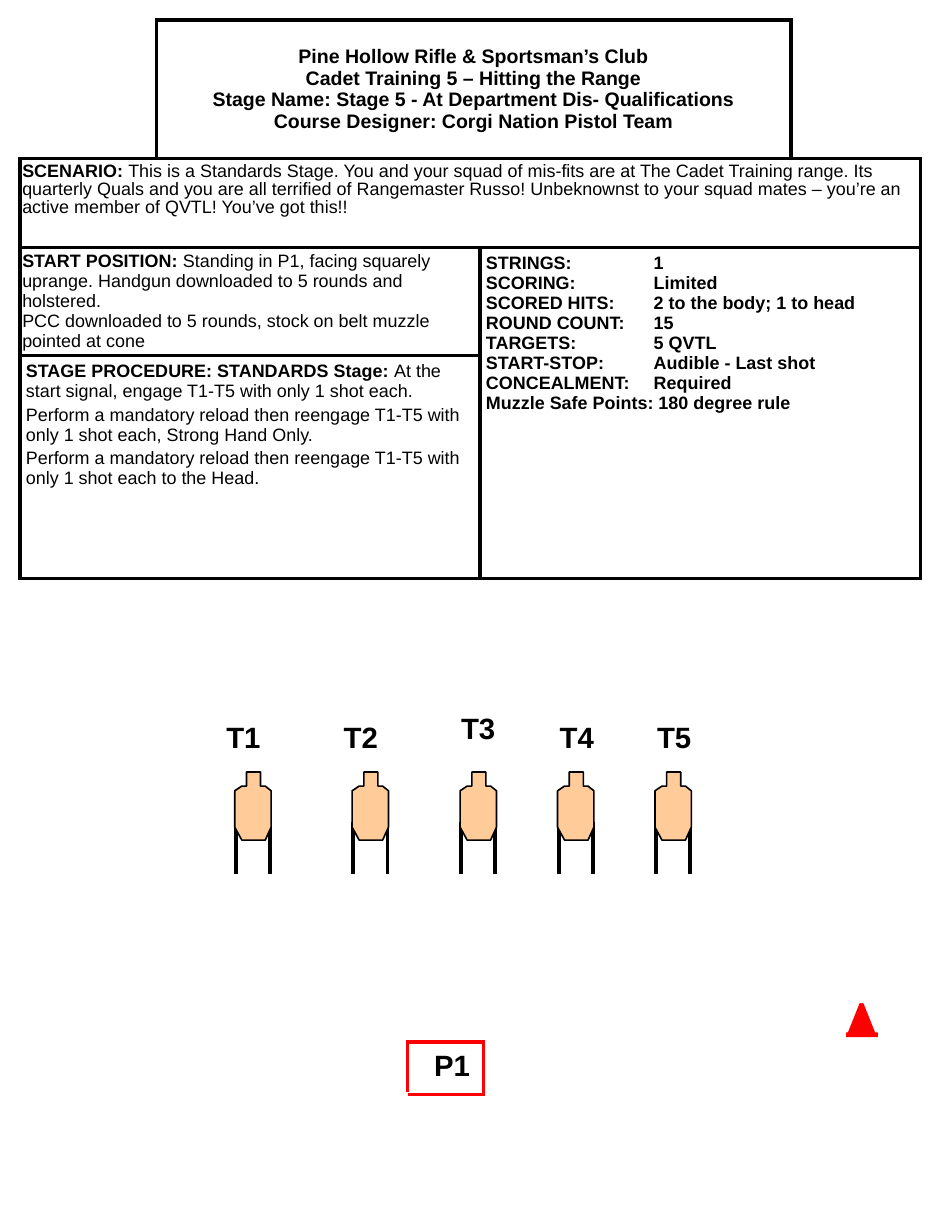
from dataclasses import dataclass

import pptx
import pptx.dml.color
import pptx.enum.shapes
import pptx.enum.text
import pptx.oxml.ns
import pptx.util
from lxml import etree
from pptx.util import Inches

qn = pptx.oxml.ns.qn
SHAPE = pptx.enum.shapes.MSO_SHAPE
ANCHOR = pptx.enum.text.MSO_ANCHOR


@dataclass(frozen=True)
class Theme:
    font: str = "Arial"
    ink: str = "000000"
    paper: str = "FFFFFF"
    red: str = "FF0000"
    target: str = "FFCC99"
    heading: float = 12
    body: float = 11
    label: float = 18
    border: float = 2.25
    fault_line: float = 2
    outline: float = 1


T = Theme()

HEADER = ["Pine Hollow Rifle & Sportsman’s Club",
          "Cadet Training 5 – Hitting the Range",
          "Stage Name: Stage 5 - At Department Dis- Qualifications",
          "Course Designer: Corgi Nation Pistol Team"]
SCENARIO = [[("SCENARIO: ", True),
             ("This is a Standards Stage. You and your squad of mis-fits are at The Cadet "
              "Training range. Its quarterly Quals and you are all terrified of Rangemaster "
              "Russo! Unbeknownst to your squad mates – you’re an active member of QVTL! "
              "You’ve got this!!", False)]]
START = [[("START POSITION: ", True),
          ("Standing in P1, facing squarely uprange. Handgun downloaded to 5 rounds and "
           "holstered.", False)],
         [("PCC downloaded to 5 rounds, stock on belt muzzle pointed at cone", False)]]
PROCEDURE = [[("STAGE PROCEDURE: STANDARDS Stage: ", True),
              ("At the start signal, engage T1-T5 with only 1 shot each.", False)],
             [("Perform a mandatory reload then reengage T1-T5 with only 1 shot each, "
               "Strong Hand Only.", False)],
             [("Perform a mandatory reload then reengage T1-T5 with only 1 shot each to "
               "the Head.", False)]]
FACTS = [("STRINGS:", "1"), ("SCORING:", "Limited"),
         ("SCORED HITS:", "2 to the body; 1 to head"), ("ROUND COUNT:", "15"),
         ("TARGETS:", "5 QVTL"), ("START-STOP:", "Audible - Last shot"),
         ("CONCEALMENT:", "Required")]
RULES = ([[(f"{name}\t{value}", True)] for name, value in FACTS]
         + [[("Muzzle Safe Points: 180 degree rule", True)]])

# Target left edge, label left edge, label top
TARGETS = [(2, 1.83, 6.08), (3, 2.83, 6.08), (3.92, 3.83, 6),
           (4.75, 4.67, 6.08), (5.58, 5.5, 6.08)]
SILHOUETTE = [(0.1, 0), (0.22, 0), (0.22, 0.12), (0.26, 0.12), (0.31, 0.16),
              (0.31, 0.47), (0.26, 0.58), (0.06, 0.58), (0, 0.47), (0, 0.16),
              (0.06, 0.12), (0.1, 0.12)]


def rgb(color):
    return pptx.dml.color.RGBColor.from_string(color)


def add_run(p, text, size, bold):
    r = p.add_run()
    r.text = text
    r.font.name, r.font.size, r.font.bold = T.font, pptx.util.Pt(size), bold
    r.font.color.rgb = rgb(T.ink)


def add_line(shapes, x1, y1, x2, y2, color, width):
    s = shapes.add_connector(pptx.enum.shapes.MSO_CONNECTOR.STRAIGHT,
                             Inches(x1), Inches(y1), Inches(x2), Inches(y2))
    s.line.color.rgb, s.line.width = rgb(color), pptx.util.Pt(width)
    etree.SubElement(s._element.spPr, qn("a:effectLst"))


def add_solid(shapes, kind, x, y, w, h, color):
    sp = shapes.add_shape(kind, Inches(x), Inches(y), Inches(w), Inches(h))
    sp.shadow.inherit = False
    sp.fill.solid()
    sp.fill.fore_color.rgb = rgb(color)
    sp.line.fill.background()


def add_label(shapes, text, x, y, w=0.58, h=0.4):
    tf = shapes.add_textbox(Inches(x), Inches(y), Inches(w), Inches(h)).text_frame
    tf.word_wrap = True
    add_run(tf.paragraphs[0], text, T.label, True)


def style_cell(cell, sides):
    """Draw the borders named in sides (of LRTB), then fill the cell."""
    tcPr = cell._tc.get_or_add_tcPr()
    for side in "LRTB":
        ln = etree.SubElement(tcPr, qn(f"a:ln{side}"), w=str(pptx.util.Pt(T.border)))
        if side in sides:
            fill = etree.SubElement(ln, qn("a:solidFill"))
            etree.SubElement(fill, qn("a:srgbClr"), val=T.ink)
        else:
            etree.SubElement(ln, qn("a:noFill"))
    cell.fill.solid()
    cell.fill.fore_color.rgb = rgb(T.paper)


def fill_cell(cell, paragraphs, inset_x, inset_y, gap=0, spacing=None, tab=None):
    cell.margin_left = cell.margin_right = Inches(inset_x)
    cell.margin_top = cell.margin_bottom = Inches(inset_y)
    cell.vertical_anchor = ANCHOR.TOP
    tf = cell.text_frame
    for i, runs in enumerate(paragraphs):
        p = tf.add_paragraph() if i else tf.paragraphs[0]
        if tab:
            tabs = etree.SubElement(p._p.get_or_add_pPr(), qn("a:tabLst"))
            etree.SubElement(tabs, qn("a:tab"), pos=str(Inches(tab)), algn="l")
        if i and gap:
            p.space_before = pptx.util.Pt(gap)
        if spacing:
            p.line_spacing = spacing
        for text, bold in runs:
            add_run(p, text, T.body, bold)


def add_briefing(shapes, x, y):
    cols, rows = [1.16, 2.76, 2.65, 1.1], [1.18, 0.76, 0.92, 1.9]
    table = shapes.add_table(len(rows), len(cols), Inches(x), Inches(y),
                             Inches(sum(cols)), Inches(sum(rows))).table
    table.first_row = table.horz_banding = False
    for col, width in zip(table.columns, cols):
        col.width = Inches(width)
    for row, height in zip(table.rows, rows):
        row.height = Inches(height)

    # Borders: the top corners stay open on the outside
    corners = {(0, 0): "RB", (0, len(cols) - 1): "LB"}
    for i in range(len(rows)):
        for j in range(len(cols)):
            style_cell(table.cell(i, j), corners.get((i, j), "LRTB"))
    for first, last in [((0, 1), (0, 2)), ((1, 0), (1, 3)), ((2, 0), (2, 1)),
                        ((2, 2), (3, 3)), ((3, 0), (3, 1))]:
        table.cell(*first).merge(table.cell(*last))

    # Heading
    cell = table.cell(0, 1)
    cell.vertical_anchor = ANCHOR.MIDDLE
    p = cell.text_frame.paragraphs[0]
    p.alignment = pptx.enum.text.PP_ALIGN.CENTER
    for i, line in enumerate(HEADER):
        if i:
            p.add_line_break()
        add_run(p, line, T.heading, True)

    # Stage text
    fill_cell(table.cell(1, 0), SCENARIO, 0.02, 0.04, spacing=0.9)
    fill_cell(table.cell(2, 0), START, 0.02, 0.03)
    fill_cell(table.cell(2, 2), RULES, 0.05, 0.05, tab=1.43)
    fill_cell(table.cell(3, 0), PROCEDURE, 0.05, 0.05, gap=2.2)


def add_target(shapes, x, y):
    group = shapes.add_group_shape().shapes
    for leg in (0.01, 0.3):
        add_line(group, x + leg, y + 0.43, x + leg, y + 0.87, T.ink, T.border)
    points = [(Inches(x + dx), Inches(y + dy)) for dx, dy in SILHOUETTE]
    builder = group.build_freeform(*points[0])
    builder.add_line_segments(points[1:], close=True)
    sp = builder.convert_to_shape()
    sp.shadow.inherit = False
    sp.fill.solid()
    sp.fill.fore_color.rgb = rgb(T.target)
    sp.line.color.rgb, sp.line.width = rgb(T.ink), pptx.util.Pt(T.outline)


def add_shooting_box(shapes, x, y, w, h):
    right, bottom = x + w, y + h
    for ends in [(right, y, x, y), (right, bottom, x, bottom),
                 (x - 0.01, bottom - 0.02, x - 0.01, y - 0.02),
                 (right - 0.01, bottom, right - 0.01, y)]:
        add_line(shapes, *ends, T.red, T.fault_line)
    add_label(shapes, "P1", x + 0.12, y)


def add_cone(shapes, x, y):
    group = shapes.add_group_shape().shapes
    add_solid(group, SHAPE.ISOSCELES_TRIANGLE, x + 0.01, y, 0.24, 0.3, T.red)
    add_solid(group, SHAPE.RECTANGLE, x + 0.07, y, 0.12, 0.04, T.paper)
    add_solid(group, SHAPE.RECTANGLE, x, y + 0.29, 0.27, 0.04, T.red)


def main():
    prs = pptx.Presentation()
    prs.slide_width, prs.slide_height = Inches(8), Inches(10.5)
    s = prs.slides.add_slide(prs.slide_layouts[6])
    add_briefing(s.shapes, 0.17, 0.17)
    for n, (x, label_x, label_y) in enumerate(TARGETS, 1):
        add_target(s.shapes, x, 6.58)
        add_label(s.shapes, f"T{n}", label_x, label_y)
    add_shooting_box(s.shapes, 3.48, 8.88, 0.65, 0.45)
    add_cone(s.shapes, 7.21, 8.51)
    prs.save("out.pptx")


if __name__ == "__main__":
    main()
